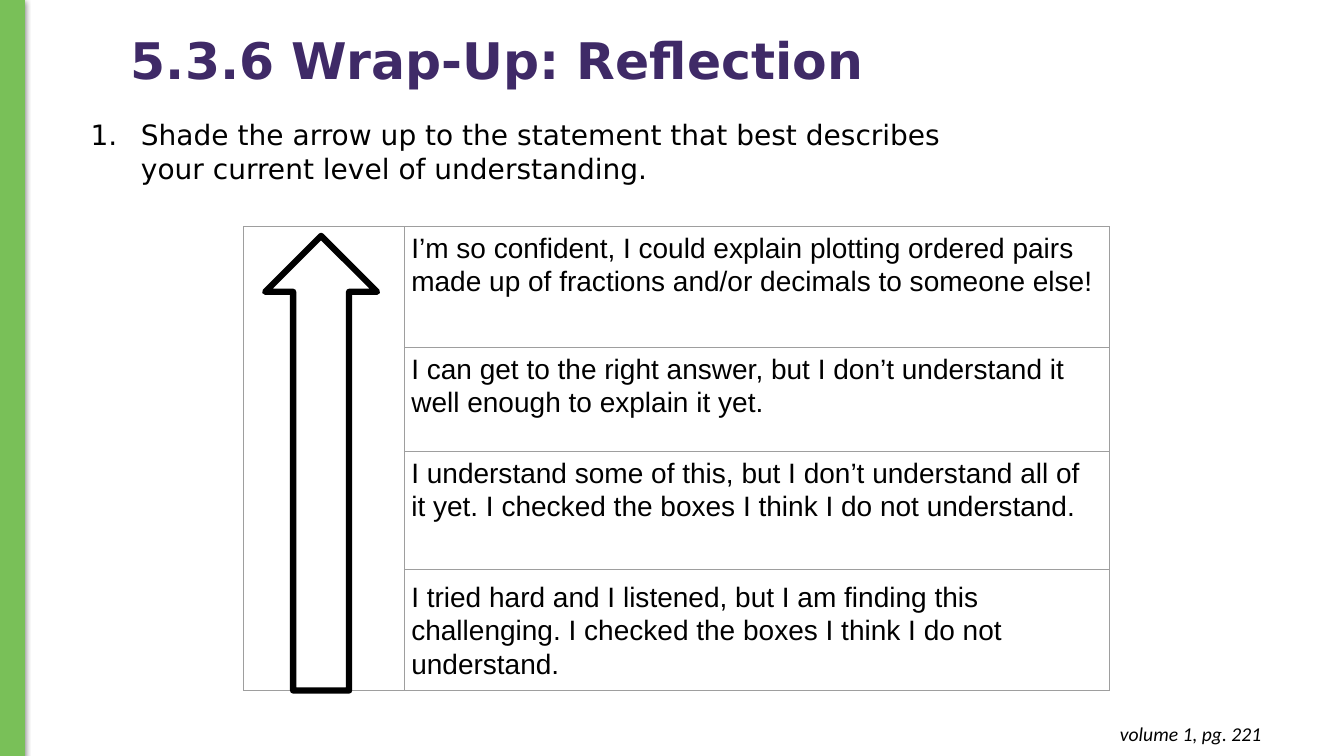
from dataclasses import dataclass

from lxml.etree import SubElement
from pptx import Presentation
from pptx.dml.color import RGBColor
from pptx.enum.shapes import MSO_SHAPE as Shape
from pptx.enum.text import MSO_ANCHOR as Anchor, PP_ALIGN as Align
from pptx.oxml import parse_xml
from pptx.oxml.ns import nsdecls, qn
from pptx.util import Emu, Inches, Pt


@dataclass(frozen=True)
class Theme:
    green: str = "79C058"
    purple: str = "3F2A67"
    black: str = "000000"
    grid: str = "9E9E9E"
    display: str = "DejaVu Sans"
    body: str = "Arial"
    note: str = "Calibri"
    title_pt: int = 36
    text_pt: int = 20
    note_pt: int = 14
    thin_pt: float = 0.75
    thick_pt: float = 4.5


@dataclass(frozen=True)
class Box:
    """Place and size in percent of the slide's width and height."""
    left: float
    top: float
    width: float
    height: float

    def emu(self) -> tuple[Emu, Emu, Emu, Emu]:
        return across(self.left), down(self.top), across(self.width), down(self.height)


@dataclass(frozen=True)
class Style:
    font: str
    size: int
    color: str
    bold: bool = False
    italic: bool = False


@dataclass(frozen=True)
class Label:
    text: str
    box: Box
    style: Style
    align: Align = Align.LEFT
    anchor: Anchor = Anchor.TOP
    inset: float = 0.05
    spacing: float = 1.0
    numbered: bool = False


@dataclass(frozen=True)
class Level:
    text: str
    height: float
    anchor: Anchor = Anchor.TOP


T = Theme()
SLIDE_W, SLIDE_H = Inches(13.33), Inches(7.5)
TABLE_LEFT, TABLE_TOP = 18.15, 30
COLUMNS = (11.93, 52.44)

LABELS = (
    Label("volume 1, pg. 221", Box(72.99, 94.13, 21.61, 5.87),
          Style(T.note, T.note_pt, T.black, italic=True), align=Align.RIGHT, inset=0.1),
    Label("5.3.6 Wrap-Up: Reflection", Box(9, -1.33, 65.79, 19.33),
          Style(T.display, T.title_pt, T.purple, bold=True), anchor=Anchor.MIDDLE, spacing=0.9),
    Label("Shade the arrow up to the statement that best describes your current level of understanding.",
          Box(6, 14.93, 68.34, 10.27), Style(T.display, T.text_pt, T.black), numbered=True),
)
LEVELS = (
    Level("I’m so confident, I could explain plotting ordered pairs made up of "
          "fractions and/or decimals to someone else!", 16),
    Level("I can get to the right answer, but I don’t understand it well enough to explain it yet.", 13.73),
    Level("I understand some of this, but I don’t understand all of it yet. "
          "I checked the boxes I think I do not understand.", 15.6),
    Level("I tried hard and I listened, but I am finding this challenging. "
          "I checked the boxes I think I do not understand.", 16, Anchor.MIDDLE),
)


def across(percent: float) -> Emu:
    return Emu(round(SLIDE_W * percent / 100))


def down(percent: float) -> Emu:
    return Emu(round(SLIDE_H * percent / 100))


def format_runs(p, style: Style) -> None:
    for r in p.runs:
        r.font.name, r.font.size = style.font, Pt(style.size)
        r.font.bold, r.font.italic = style.bold, style.italic
        r.font.color.rgb = RGBColor.from_string(style.color)


def add_number(p) -> None:
    pPr = p._p.get_or_add_pPr()
    pPr.set("marL", str(Inches(0.5)))
    pPr.set("indent", str(Inches(-0.5)))
    color = SubElement(pPr, qn("a:buClr"))
    SubElement(color, qn("a:srgbClr"), val=T.black)
    SubElement(pPr, qn("a:buFont"), typeface=T.display)
    SubElement(pPr, qn("a:buAutoNum"), type="arabicPeriod")


def add_label(slide, label: Label) -> None:
    tf = slide.shapes.add_textbox(*label.box.emu()).text_frame
    tf.word_wrap = True
    tf.vertical_anchor = label.anchor
    tf.margin_left = tf.margin_right = Inches(0.1)
    tf.margin_top = tf.margin_bottom = Inches(label.inset)
    p = tf.paragraphs[0]
    p.text = label.text
    p.alignment, p.line_spacing = label.align, label.spacing
    if label.numbered:
        add_number(p)
    format_runs(p, label.style)


def add_outlined(slide, kind: Shape, box: Box, color: str, line_pt: float):
    s = slide.shapes.add_shape(kind, *box.emu())
    s.shadow.inherit = False
    s.fill.background()
    s.line.color.rgb = RGBColor.from_string(color)
    s.line.width = Pt(line_pt)
    return s


def add_side_bar(slide) -> None:
    s = add_outlined(slide, Shape.RECTANGLE, Box(0, 0, 1.8, 100), T.green, T.thin_pt)
    s.fill.solid()
    s.fill.fore_color.rgb = RGBColor.from_string(T.green)
    effects = s._element.spPr.find(qn("a:effectLst"))
    shadow = SubElement(effects, qn("a:outerShdw"), blurRad=str(Pt(4.5)),
                        dist=str(Pt(1.5)), dir="5400000", rotWithShape="0")
    color = SubElement(shadow, qn("a:srgbClr"), val=T.black)
    SubElement(color, qn("a:alpha"), val="50000")


def add_borders(cell) -> None:
    tcPr = cell._tc.get_or_add_tcPr()
    for i, side in enumerate("LRTB"):
        tcPr.insert(i, parse_xml(
            f'<a:ln{side} {nsdecls("a")} w="{Pt(T.thin_pt)}"><a:solidFill>'
            f'<a:srgbClr val="{T.grid}"/></a:solidFill></a:ln{side}>'))


def add_levels(slide) -> None:
    box = Box(TABLE_LEFT, TABLE_TOP, sum(COLUMNS), sum(level.height for level in LEVELS))
    table = slide.shapes.add_table(len(LEVELS), len(COLUMNS), *box.emu()).table
    table.first_row = table.horz_banding = False
    for column, width in zip(table.columns, COLUMNS):
        column.width = across(width)
    for i, level in enumerate(LEVELS):
        table.rows[i].height = down(level.height)
        cell = table.cell(i, 1)
        cell.text_frame.text = level.text
        cell.vertical_anchor = level.anchor
        p = cell.text_frame.paragraphs[0]
        p.line_spacing = 1.07
        format_runs(p, Style(T.body, T.text_pt, T.black))
    for cell in table.iter_cells():
        cell.margin_left = cell.margin_right = Inches(0.07)
        cell.margin_top = cell.margin_bottom = Inches(0.04)
        cell.fill.background()
        add_borders(cell)
    table.cell(0, 0).merge(table.cell(len(LEVELS) - 1, 0))


def main() -> None:
    prs = Presentation()
    prs.slide_width, prs.slide_height = SLIDE_W, SLIDE_H
    slide = prs.slides.add_slide(prs.slide_layouts[6])

    # Side bar and texts
    add_side_bar(slide)
    for label in LABELS:
        add_label(slide, label)

    # Levels of understanding, with the arrow to shade
    add_levels(slide)
    add_outlined(slide, Shape.UP_ARROW, Box(19.73, 31.2, 8.33, 60.13), T.black, T.thick_pt)

    prs.save("out.pptx")


if __name__ == "__main__":
    main()
